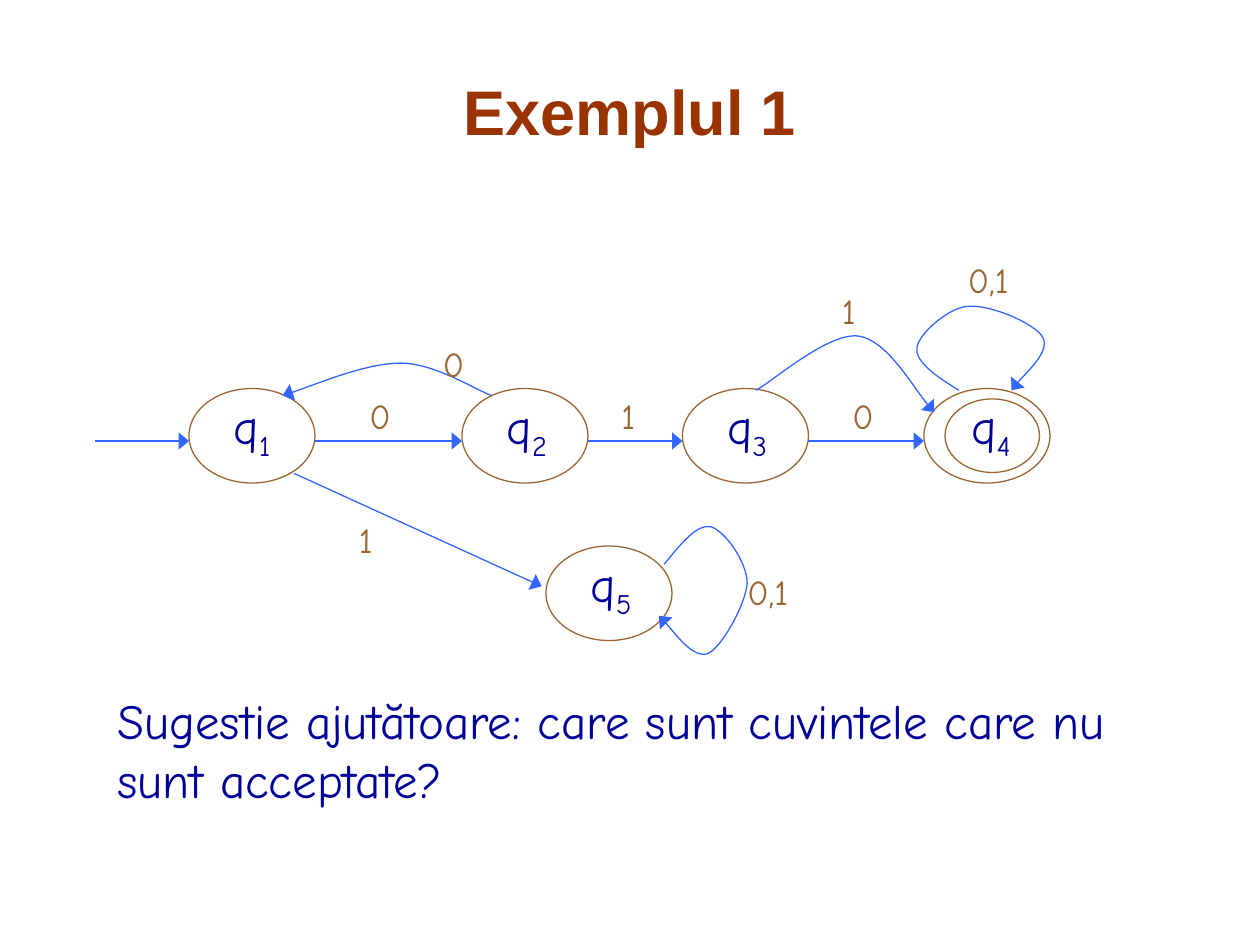
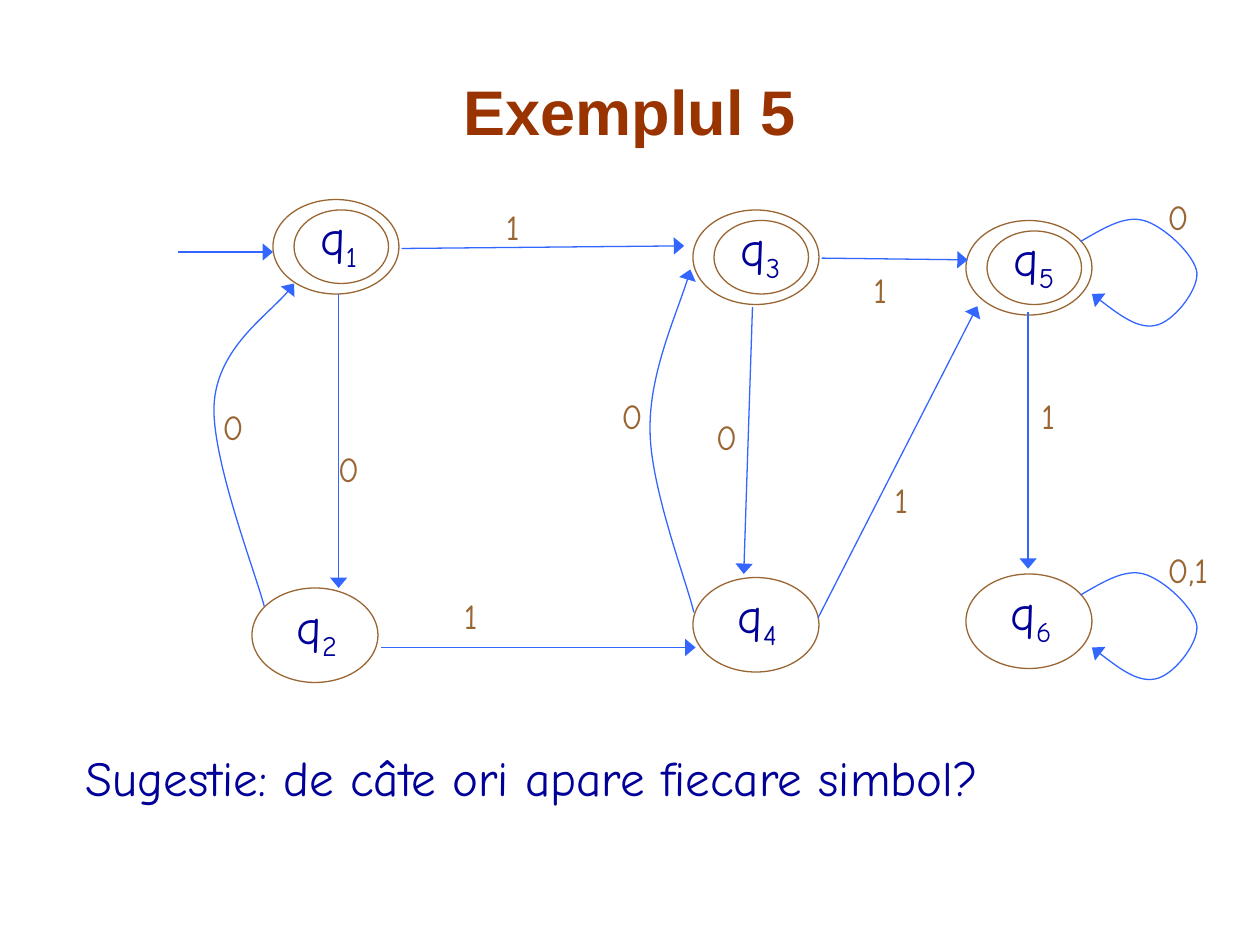
from dataclasses import dataclass

from lxml import etree
from pptx import Presentation
from pptx.dml.color import RGBColor
from pptx.enum.shapes import MSO_CONNECTOR, MSO_SHAPE
from pptx.enum.text import MSO_ANCHOR, PP_ALIGN
from pptx.oxml.ns import qn
from pptx.util import Pt

STRAIGHT = MSO_CONNECTOR.STRAIGHT
OVAL = MSO_SHAPE.OVAL
MIDDLE, TOP = MSO_ANCHOR.MIDDLE, MSO_ANCHOR.TOP
CENTER, LEFT = PP_ALIGN.CENTER, PP_ALIGN.LEFT


@dataclass(frozen=True)
class Theme:
    title: RGBColor = RGBColor(0x99, 0x33, 0x00)
    text: RGBColor = RGBColor(0x00, 0x00, 0x99)
    state: RGBColor = RGBColor(0x99, 0x66, 0x33)
    arrow: RGBColor = RGBColor(0x33, 0x66, 0xFF)
    title_font: str = "Arial"
    body_font: str = "Comic Neue"
    title_size: float = 36
    body_size: float = 28
    symbol_size: float = 20
    line: float = 0.75


THEME = Theme()

# Outline of a self-loop, measured from the corner of its state
SIDE_LOOP = [(65.5, 12), (78.5, 4.5), (90.5, -3), (101.5, 0), (113, 3),
             (131, 20), (132, 30), (132.5, 40.5), (118, 58.5), (108, 60),
             (98, 62), (85, 52), (72, 42)]


def side_loop(x, y):
    return [(x + dx, y + dy) for dx, dy in SIDE_LOOP]


# States: name, left, top, accepting
# Transitions: symbol, symbol position, points (two: straight, more: Bézier)
EXAMPLE_1 = {
    "title": "Exemplul 1",
    "hint": ("Sugestie ajutătoare: care sunt cuvintele care nu sunt acceptate?",
             (60, 391, 600, 75)),
    "states": [("1", 108, 222, False), ("2", 264, 222, False),
               ("3", 390, 222, False), ("4", 528, 222, True),
               ("5", 312, 312, False)],
    "transitions": [
        ("", None, [(54, 252), (108, 252)]),
        ("0", (204, 222), [(180, 252), (264, 252)]),
        ("1", (348, 222), [(336, 252), (390, 252)]),
        ("0", (480, 222), [(462, 252), (528, 252)]),
        ("1", (198, 293), [(168, 270.5), (309.5, 335)]),
        ("0", (246, 192), [(281, 226), (272, 223), (248.5, 207.5), (229, 207.5),
                           (209, 207.5), (175, 222), (161.5, 226)]),
        ("1", (474, 162), [(432, 223), (441.5, 218), (473, 190), (490.5, 192),
                           (507, 194.5), (525, 227), (534, 235.5)]),
        ("0,1", (546, 144), [(548, 223), (535.5, 215.5), (522.5, 206.5),
                             (524, 198.5), (525, 191), (542, 175.5),
                             (553.5, 175), (566, 174), (592, 185), (596, 193),
                             (600, 201), (581, 218), (578, 223)]),
        ("0,1", (420, 322.5), [(379.5, 322.5), (389, 311), (398, 299.5),
                               (406, 301), (414, 303), (427, 321), (427, 333.5),
                               (426, 345.5), (412.5, 370), (404.5, 373.5),
                               (396, 376.5), (381, 355.5), (376.5, 352)]),
    ],
}

EXAMPLE_5 = {
    "title": "Exemplul 5",
    "hint": ("Sugestie: de câte ori apare fiecare simbol?", (42, 423.5, 636, 41)),
    "states": [("1", 156, 114, True), ("2", 144, 336, False),
               ("3", 396, 120, True), ("4", 396, 330, False),
               ("5", 552, 126, True), ("6", 552, 328, False)],
    "transitions": [
        ("", None, [(102, 144), (156, 144)]),
        ("1", (282, 114), [(229.5, 142), (391, 140.5)]),
        ("0", (186, 252), [(193.5, 168), (193.5, 336)]),
        ("1", (258, 336), [(218, 370), (397.5, 370)]),
        ("0", (402, 234), [(430, 175.5), (425, 328)]),
        ("1", (504, 270), [(467.5, 353), (558.5, 175)]),
        ("1", (492, 150), [(469.5, 147.5), (553, 148.5)]),
        ("1", (588, 222), [(587.5, 178.5), (587.5, 325)]),
        ("0", (120, 228), [(151, 346.5), (146, 327), (119.5, 259), (122.5, 229),
                           (125.5, 198), (158.5, 176.5), (168, 162)]),
        ("0", (348, 222), [(396.5, 350), (392.5, 332.5), (371.5, 278.5),
                           (371.5, 245.5), (371, 213), (389.5, 173.5),
                           (394.5, 154)]),
        ("0", (660, 108), side_loop(552, 126)),
        ("0,1", (660, 310), side_loop(552, 328)),
    ],
}


def add_run(p, text, size, color, font=THEME.body_font, bold=False):
    r = p.add_run()
    r.text = text
    r.font.size, r.font.name, r.font.bold = Pt(size), font, bold
    r.font.color.rgb = color
    return r


def add_text(slide, box, anchor=TOP, align=LEFT):
    """Add an empty text box and return its paragraph."""
    tf = slide.shapes.add_textbox(*map(Pt, box)).text_frame
    tf.word_wrap = True
    tf.vertical_anchor = anchor
    p = tf.paragraphs[0]
    p.alignment = align
    return p


def add_oval(slide, x, y, w, h):
    sp = slide.shapes.add_shape(OVAL, Pt(x), Pt(y), Pt(w), Pt(h))
    sp.shadow.inherit = False
    sp.fill.background()
    sp.line.color.rgb = THEME.state
    sp.line.width = Pt(THEME.line)


def add_state(slide, name, x, y, accepting):
    add_oval(slide, x, y, 72, 54)
    if accepting:
        add_oval(slide, x + 12, y + 6, 54, 42)
    # The label is wide enough to keep the subscript on its line
    p = add_text(slide, (x + (20 if accepting else 18.5), y + 0.5, 48, 45))
    add_run(p, "q", THEME.body_size, THEME.text)
    r = add_run(p, name, THEME.body_size, THEME.text)
    r.font._element.set("baseline", "-25000")


def add_curve(slide, points):
    """Draw the points as a chain of cubic Bézier curves."""
    start, *rest = [(Pt(x), Pt(y)) for x, y in points]
    builder = slide.shapes.build_freeform(*start)
    builder.add_line_segments(rest, close=False)
    sp = builder.convert_to_shape()
    sp.shadow.inherit = False
    sp.fill.background()
    # Turn every three line segments into one curve
    outline = sp.element.find(".//" + qn("a:path"))
    segments = outline.findall(qn("a:lnTo"))
    for i in range(0, len(segments), 3):
        curve = etree.SubElement(outline, qn("a:cubicBezTo"))
        for segment in segments[i:i + 3]:
            curve.append(segment[0])
            outline.remove(segment)
    return sp


def add_straight(slide, points):
    (x1, y1), (x2, y2) = points
    sp = slide.shapes.add_connector(STRAIGHT, Pt(x1), Pt(y1), Pt(x2), Pt(y2))
    sp.line.width = Pt(THEME.line)
    etree.SubElement(sp.element.spPr, qn("a:effectLst"))
    return sp


def add_transition(slide, symbol, at, points):
    draw = add_straight if len(points) == 2 else add_curve
    sp = draw(slide, points)
    sp.line.color.rgb = THEME.arrow
    sp.line.width = Pt(THEME.line)
    ln = sp.element.spPr.find(qn("a:ln"))
    etree.SubElement(ln, qn("a:tailEnd"), type="triangle", w="lg", len="med")
    if symbol:
        p = add_text(slide, (*at, 60, 31.5))
        add_run(p, symbol, THEME.symbol_size, THEME.state)


def add_automaton(prs, example):
    slide = prs.slides.add_slide(prs.slide_layouts[6])
    # Title
    p = add_text(slide, (54, 36, 612, 54), anchor=MIDDLE, align=CENTER)
    add_run(p, example["title"], THEME.title_size, THEME.title,
            THEME.title_font, bold=True)
    # Diagram
    for state in example["states"]:
        add_state(slide, *state)
    for transition in example["transitions"]:
        add_transition(slide, *transition)
    # Hint
    text, box = example["hint"]
    add_run(add_text(slide, box), text, THEME.body_size, THEME.text)


def main():
    prs = Presentation()
    prs.slide_width, prs.slide_height = Pt(720), Pt(540)
    for example in (EXAMPLE_1, EXAMPLE_5):
        add_automaton(prs, example)
    prs.save("out.pptx")


if __name__ == "__main__":
    main()
